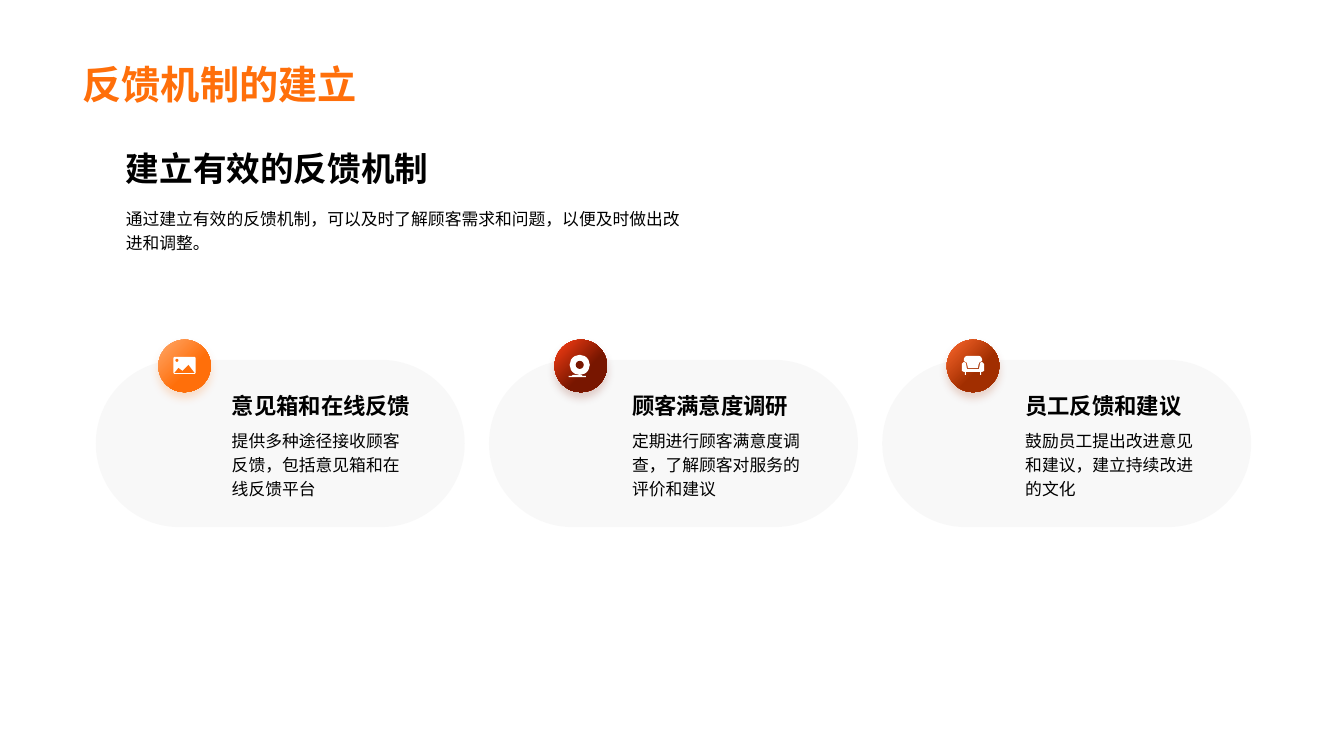
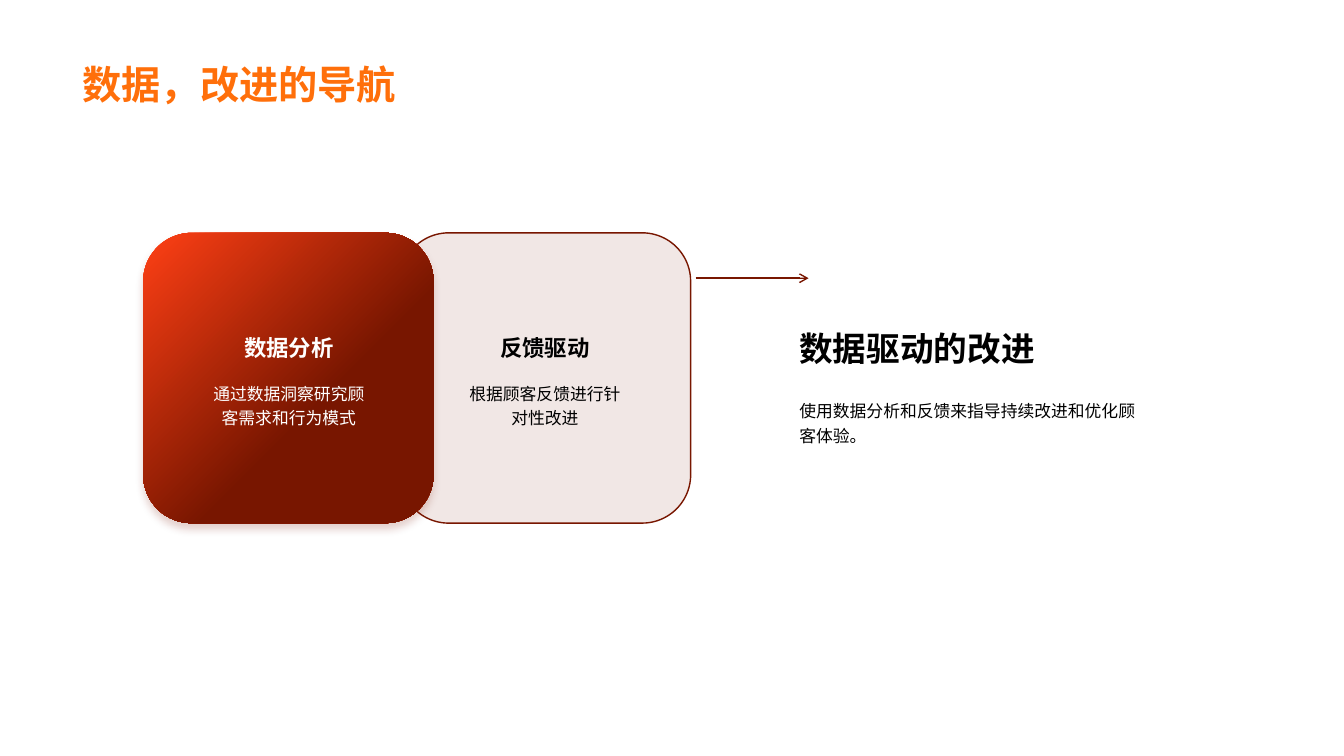
from lxml.etree import SubElement
from pptx import Presentation
from pptx.dml.color import RGBColor
from pptx.enum.lang import MSO_LANGUAGE_ID
from pptx.enum.shapes import MSO_CONNECTOR, MSO_SHAPE
from pptx.enum.text import MSO_ANCHOR, MSO_AUTO_SIZE, PP_ALIGN
from pptx.oxml.ns import qn
from pptx.util import Inches, Pt

FONT = "Arial"
ORANGE, DARK_RED, RUST = "FF6F0A", "781600", "A12E00"
BLACK, WHITE, GRAY = "000000", "FFFFFF", "808080"
RED_GRADIENT = ("FF4015", DARK_RED)
ICON_UNIT = Inches(0.01)
MOUNTAINS = [(16, 33), (20, 28), (24, 31), (30, 25), (36, 33)]
CAMERA_STAND = [(14, 37), (14, 36), (17, 36), (18, 35), (27, 35), (28, 36), (31, 36), (31, 37)]
SOFA_BACK = [(17, 19), (18, 17), (20, 16), (32, 16), (34, 17), (35, 19), (35, 21),
             (32, 23), (31, 28), (21, 28), (20, 23), (17, 21)]
SOFA_SEAT = [(15, 24), (17, 22), (19, 23), (20, 29), (32, 29), (33, 23), (35, 22),
             (37, 24), (37, 31), (35, 32), (34, 32), (34, 35), (33, 35), (33, 32),
             (19, 32), (19, 35), (18, 35), (18, 32), (17, 32), (15, 31)]


def rgb(color):
    return RGBColor.from_string(color)


def style_text(tf, text, size, color, bold=False, align=PP_ALIGN.LEFT):
    tf.text = text
    p = tf.paragraphs[0]
    p.alignment = align
    r = p.runs[0]
    r.font.size, r.font.bold = Pt(size), bold
    r.font.color.rgb = rgb(color)
    r.font.name = FONT
    r.font.language_id = MSO_LANGUAGE_ID.SIMPLIFIED_CHINESE
    SubElement(r._r.get_or_add_rPr(), qn("a:ea"), typeface=FONT)
    return p


def add_text(s, box, text, size, color=BLACK, bold=False, align=PP_ALIGN.LEFT,
             anchor=MSO_ANCHOR.TOP, wrap=True):
    tf = s.shapes.add_textbox(*map(Inches, box)).text_frame
    tf.word_wrap, tf.vertical_anchor = wrap, anchor
    return style_text(tf, text, size, color, bold, align)


def add_body(s, box, text, color=BLACK, align=PP_ALIGN.LEFT):
    add_text(s, box, text, 12, color, align=align).line_spacing = 1.2


def add_label(s, box, text, color=BLACK, align=PP_ALIGN.LEFT):
    add_text(s, box, text, 16, color, True, align, MSO_ANCHOR.BOTTOM, False)


def add_headline(s, box, text):
    add_text(s, box, text, 24, bold=True, anchor=MSO_ANCHOR.BOTTOM)


def fill_solid(sp, color, alpha=100):
    sp.fill.solid()
    sp.fill.fore_color.rgb = rgb(color)
    if alpha < 100:
        clr = sp._element.spPr.find(".//" + qn("a:srgbClr"))
        SubElement(clr, qn("a:alpha"), val=str(alpha * 1000))


def add_shape(s, kind, box, color=None, alpha=100):
    sp = s.shapes.add_shape(kind, *map(Inches, box))
    sp.shadow.inherit = False
    sp.line.fill.background()
    if color:
        fill_solid(sp, color, alpha)
    return sp


def add_glowing_shape(s, kind, box, gradient):
    sp = add_shape(s, kind, box)
    sp.fill.gradient()
    sp.fill.gradient_angle = 315
    for stop, color, position in zip(sp.fill.gradient_stops, gradient, (0, 0.6)):
        stop.color.rgb = rgb(color)
        stop.position = position
    effects = sp._element.spPr.find(qn("a:effectLst"))
    shadow = SubElement(effects, qn("a:outerShdw"), blurRad=str(Pt(6)), dist=str(Pt(4)),
                        dir="5400000", algn="t", rotWithShape="0")
    clr = SubElement(shadow, qn("a:srgbClr"), val=gradient[1])
    SubElement(clr, qn("a:alpha"), val="20000")


def add_polygon(s, x, y, points, color):
    builder = s.shapes.build_freeform(*points[0], scale=ICON_UNIT)
    builder.add_line_segments(points[1:], close=True)
    sp = builder.convert_to_shape(Inches(x), Inches(y))
    sp.shadow.inherit = False
    sp.line.fill.background()
    fill_solid(sp, color)


def add_arrow(s, x1, x2, y, color):
    c = s.shapes.add_connector(MSO_CONNECTOR.STRAIGHT, Inches(x1), Inches(y), Inches(x2), Inches(y))
    c.line.color.rgb = rgb(color)
    c.line.width = Pt(1)
    SubElement(c.line._get_or_add_ln(), qn("a:tailEnd"), type="arrow")
    SubElement(c._element.spPr, qn("a:effectLst"))


def draw_photo(s, x, y, color):
    add_shape(s, MSO_SHAPE.ROUNDED_RECTANGLE, (x + 0.15, y + 0.17, 0.22, 0.17), WHITE).adjustments[0] = 0.08
    add_polygon(s, x, y, MOUNTAINS, color)
    add_shape(s, MSO_SHAPE.OVAL, (x + 0.17, y + 0.19, 0.03, 0.03), color)


def draw_camera(s, x, y, color):
    add_polygon(s, x, y, CAMERA_STAND, WHITE)
    add_shape(s, MSO_SHAPE.OVAL, (x + 0.15, y + 0.15, 0.2, 0.2), WHITE)
    add_shape(s, MSO_SHAPE.OVAL, (x + 0.21, y + 0.21, 0.08, 0.08), color)


def draw_sofa(s, x, y, color):
    for points in (SOFA_BACK, SOFA_SEAT):
        add_polygon(s, x, y, points, WHITE)


def add_card(s, x, icon_x, text_x, gradient, draw_icon, label, body):
    icon_y = 3.37
    add_shape(s, MSO_SHAPE.ROUNDED_RECTANGLE, (x, 3.57, 3.66, 1.66), GRAY, 5).adjustments[0] = 0.5
    add_glowing_shape(s, MSO_SHAPE.OVAL, (icon_x, icon_y, 0.52, 0.52), gradient)
    draw_icon(s, icon_x, icon_y, gradient[1])
    add_label(s, (text_x, 3.84, 1.99, 0.37), label)
    add_body(s, (text_x, 4.18, 1.99, 0.81), body)


def add_panel_text(s, x, label, body, color):
    add_label(s, (x, 3.2, 1.85, 0.43), label, color, PP_ALIGN.CENTER)
    add_body(s, (x, 3.72, 1.85, 0.57), body, color, PP_ALIGN.CENTER)


def set_up_layout(prs):
    layout = prs.slide_layouts.get_by_name("Title Only")
    title = layout.placeholders[0]
    title.left, title.top, title.width, title.height = map(Inches, (0.72, 0, 11.88, 1.12))
    return layout


def add_slide(prs, layout, title):
    s = prs.slides.add_slide(layout)
    tf = s.shapes.title.text_frame
    tf.auto_size, tf.vertical_anchor = MSO_AUTO_SIZE.NONE, MSO_ANCHOR.BOTTOM
    style_text(tf, title, 28, ORANGE, True)
    return s


def build_feedback(prs, layout):
    s = add_slide(prs, layout, "反馈机制的建立")
    add_headline(s, (1.15, 1.42, 5.74, 0.5), "建立有效的反馈机制")
    add_body(s, (1.15, 1.98, 5.74, 0.56),
             "通过建立有效的反馈机制，可以及时了解顾客需求和问题，以便及时做出改进和调整。")
    cards = [
        (1.57, 2.2, ("FFA96C", ORANGE), draw_photo, "意见箱和在线反馈",
         "提供多种途径接收顾客反馈，包括意见箱和在线反馈平台"),
        (5.5, 6.17, RED_GRADIENT, draw_camera, "顾客满意度调研",
         "定期进行顾客满意度调查，了解顾客对服务的评价和建议"),
        (9.39, 10.07, ("FF692E", RUST), draw_sofa, "员工反馈和建议",
         "鼓励员工提出改进意见和建议，建立持续改进的文化"),
    ]
    for i, card in enumerate(cards):
        add_card(s, 0.95 + 3.9 * i, *card)


def build_data(prs, layout):
    s = add_slide(prs, layout, "数据，改进的导航")
    top, side = 2.31, 2.88
    panel = add_shape(s, MSO_SHAPE.ROUNDED_RECTANGLE, (3.97, top, side, side), DARK_RED, 10)
    panel.line.color.rgb = rgb(DARK_RED)
    panel.line.width = Pt(1)
    add_glowing_shape(s, MSO_SHAPE.ROUNDED_RECTANGLE, (1.42, top, side, side), RED_GRADIENT)
    add_panel_text(s, 1.94, "数据分析", "通过数据洞察研究顾客需求和行为模式", WHITE)
    add_panel_text(s, 4.48, "反馈驱动", "根据顾客反馈进行针对性改进", BLACK)
    add_headline(s, (7.83, 3.2, 3.56, 0.5), "数据驱动的改进")
    add_body(s, (7.83, 3.89, 3.56, 0.56), "使用数据分析和反馈来指导持续改进和优化顾客体验。")
    add_arrow(s, 6.9, 8.02, 2.76, DARK_RED)


def main():
    prs = Presentation()
    prs.slide_width, prs.slide_height = Inches(13.33), Inches(7.5)
    layout = set_up_layout(prs)
    build_feedback(prs, layout)
    build_data(prs, layout)
    prs.save("out.pptx")


if __name__ == "__main__":
    main()
